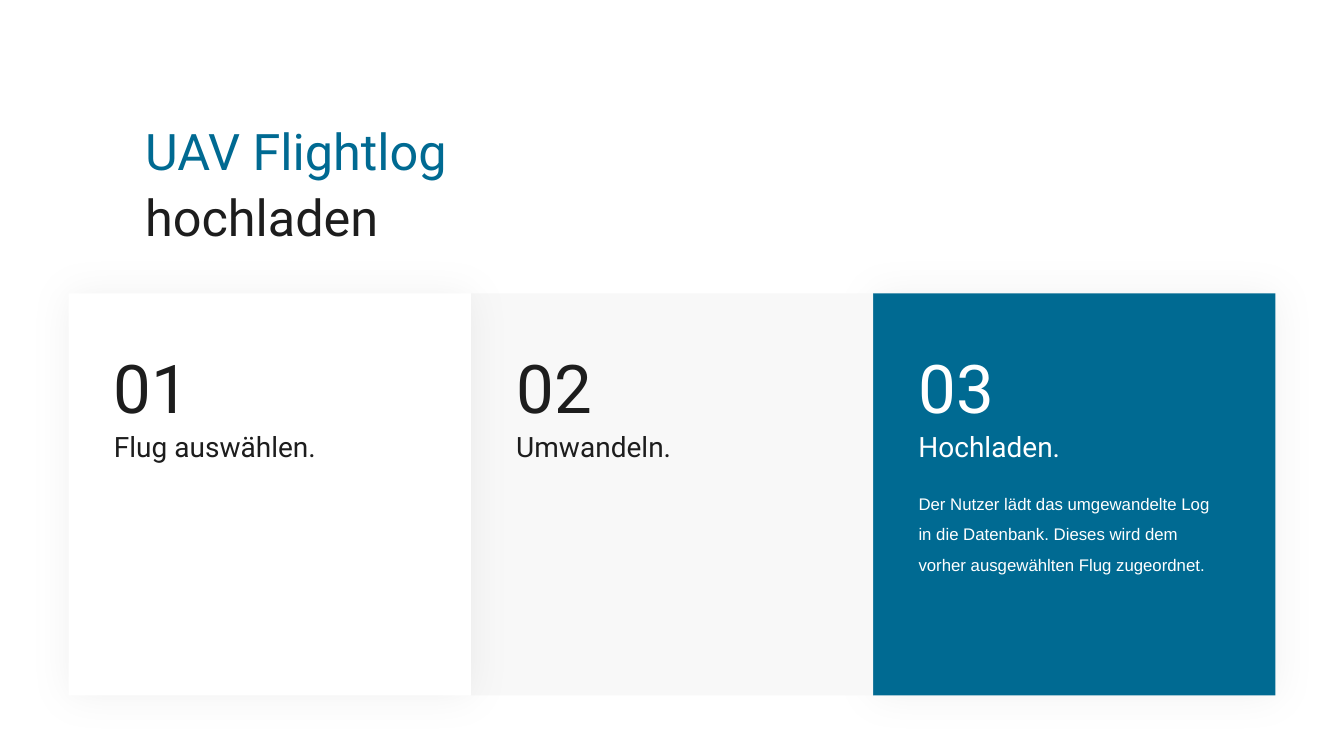
from lxml import etree
from pptx import Presentation
from pptx import util as u
from pptx.dml.color import RGBColor
from pptx.enum import shapes, text
from pptx.oxml.ns import qn

HEADLINE = [("UAV Flightlog", "accent"), ("hochladen", "ink")]
STEPS = [
    {"number": "01", "title": "Flug auswählen.", "detail": "",
     "fill": "white", "color": "ink", "raised": True},
    {"number": "02", "title": "Umwandeln.", "detail": "",
     "fill": "mist", "color": "ink", "raised": False},
    {"number": "03", "title": "Hochladen.",
     "detail": "Der Nutzer lädt das umgewandelte Log in die Datenbank. "
               "Dieses wird dem vorher ausgewählten Flug zugeordnet.",
     "fill": "accent", "color": "white", "raised": True},
]
THEME = {
    "colors": {"accent": "006A92", "ink": "1D1D1D", "white": "FFFFFF",
               "mist": "F8F8F8", "shadow": "000000"},
    "fonts": {"display": "Roboto", "body": "Arial"},
    "sizes": {"headline": 36, "number": 48, "title": 20, "detail": 12},
    "shadow": {"blur": 30, "alpha": 5},
}
CARD_LEFT, CARD_TOP, CARD_SIDE = 0.68, 2.91, 3.99
PADDING = 0.45


def rgb(name):
    return RGBColor.from_string(THEME["colors"][name])


def add_card(slide, left, step):
    card = slide.shapes.add_shape(
        shapes.MSO_SHAPE.RECTANGLE, u.Inches(left), u.Inches(CARD_TOP),
        u.Inches(CARD_SIDE), u.Inches(CARD_SIDE))
    card.fill.solid()
    card.fill.fore_color.rgb = rgb(step["fill"])
    card.line.fill.background()
    card.shadow.inherit = False
    if step["raised"]:
        effects = card.element.spPr.find(qn("a:effectLst"))
        glow = etree.SubElement(
            effects, qn("a:outerShdw"), dist="0", algn="ctr", rotWithShape="0",
            blurRad=str(u.Pt(THEME["shadow"]["blur"])))
        tint = etree.SubElement(glow, qn("a:srgbClr"), val=THEME["colors"]["shadow"])
        etree.SubElement(tint, qn("a:alpha"), val=str(THEME["shadow"]["alpha"] * 1000))


def add_text(slide, box, lines, size, font="display", spacing=None,
             wrap=True, anchor=text.MSO_ANCHOR.TOP):
    frame = slide.shapes.add_textbox(*map(u.Inches, box)).text_frame
    frame.margin_left = frame.margin_right = frame.margin_top = frame.margin_bottom = 0
    frame.word_wrap = wrap
    frame.vertical_anchor = anchor
    frame.text = "\n".join(words for words, color in lines)
    for paragraph, (words, color) in zip(frame.paragraphs, lines):
        paragraph.line_spacing = spacing
        for run in paragraph.runs:
            run.font.name = THEME["fonts"][font]
            run.font.size = u.Pt(THEME["sizes"][size])
            run.font.color.rgb = rgb(color)


def main():
    deck = Presentation()
    deck.slide_width, deck.slide_height = u.Inches(13.33), u.Inches(7.5)
    slide = deck.slides.add_slide(deck.slide_layouts[6])

    placed = [(CARD_LEFT + i * CARD_SIDE, step) for i, step in enumerate(STEPS)]
    for left, step in reversed(placed):
        add_card(slide, left, step)

    add_text(slide, (1.44, 1.17, 4.46, 1.28), HEADLINE, "headline",
             spacing=1.1, anchor=text.MSO_ANCHOR.BOTTOM)

    for left, step in placed:
        inner, color = left + PADDING, step["color"]
        add_text(slide, (inner, 3.36, 0.75, 0.81), [(step["number"], color)],
                 "number", spacing=1.1, wrap=False)
        add_text(slide, (inner, 4.26, 2.36, 0.34), [(step["title"], color)], "title")
        if step["detail"]:
            add_text(slide, (inner, 4.8, 3.05, 0.87), [(step["detail"], color)],
                     "detail", font="body", spacing=1.5)

    deck.save("out.pptx")


if __name__ == "__main__":
    main()
